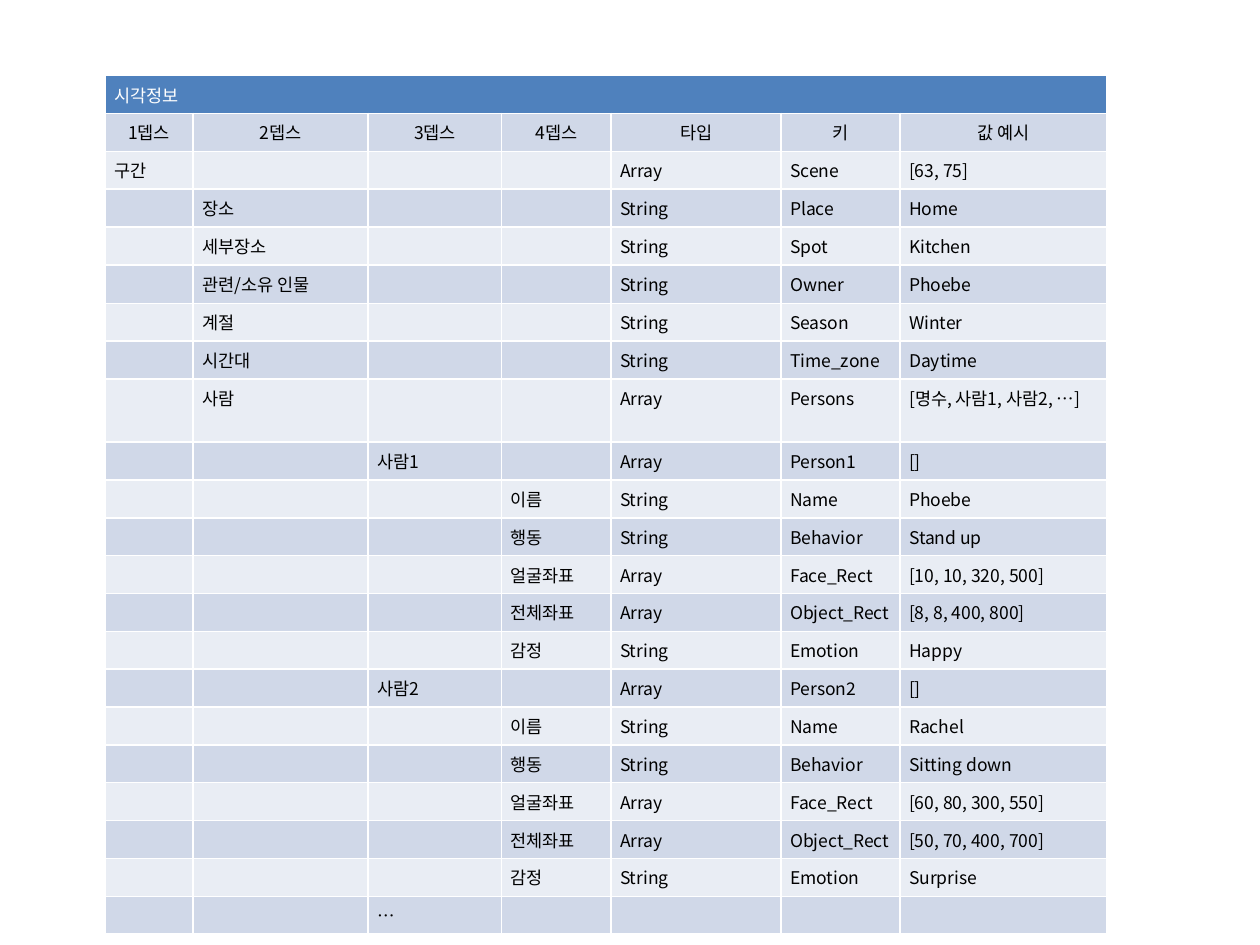
from dataclasses import dataclass
from typing import Any

import lxml.etree
import pptx
import pptx.dml.color
import pptx.enum.text
import pptx.oxml.ns
import pptx.util

Pt = pptx.util.Pt
Align = pptx.enum.text.PP_ALIGN


@dataclass(frozen=True)
class Theme:
    font: str = "Noto Sans CJK KR"
    size: float = 10
    head: str = "4F81BD"
    bands: tuple[str, str] = ("D0D8E8", "E9EDF4")
    light: str = "FFFFFF"
    dark: str = "000000"
    side: float = 5.2
    edge: float = 3.6


@dataclass(frozen=True)
class Field:
    depth: int
    label: str
    kind: str = ""
    key: str = ""
    value: str = ""
    high: float = 13.7

    def texts(self) -> list[str]:
        levels = [""] * 4
        levels[self.depth - 1] = self.label
        return [*levels, self.kind, self.key, self.value]


@dataclass(frozen=True)
class Person:
    rank: int
    name: str
    act: str
    face: str
    body: str
    mood: str
    high: float

    def fields(self) -> list[Field]:
        return [
            Field(3, f"사람{self.rank}", "Array", f"Person{self.rank}", "[]", self.high),
            Field(4, "이름", "String", "Name", self.name, self.high),
            Field(4, "행동", "String", "Behavior", self.act),
            Field(4, "얼굴좌표", "Array", "Face_Rect", self.face),
            Field(4, "전체좌표", "Array", "Object_Rect", self.body),
            Field(4, "감정", "String", "Emotion", self.mood),
        ]


THEME = Theme()
TITLE = "시각정보"
HEADS = ["1뎁스", "2뎁스", "3뎁스", "4뎁스", "타입", "키", "값 예시"]
WIDTHS = [50.4, 100, 76.3, 62.5, 97.2, 68, 118]
SCENE = [
    Field(1, "구간", "Array", "Scene", "[63, 75]"),
    Field(2, "장소", "String", "Place", "Home"),
    Field(2, "세부장소", "String", "Spot", "Kitchen"),
    Field(2, "관련/소유 인물", "String", "Owner", "Phoebe", 22),
    Field(2, "계절", "String", "Season", "Winter"),
    Field(2, "시간대", "String", "Time_zone", "Daytime"),
    Field(2, "사람", "Array", "Persons", "[명수, 사람1, 사람2, …]"),
]
PEOPLE = [
    Person(1, "Phoebe", "Stand up", "[10, 10, 320, 500]", "[8, 8, 400, 800]", "Happy", 20.2),
    Person(2, "Rachel", "Sitting down", "[60, 80, 300, 550]", "[50, 70, 400, 700]", "Surprise", 13.7),
]


def paint(cell: Any, text: str, fill: str, ink: str, align: Any = Align.LEFT) -> None:
    cell.fill.solid()
    cell.fill.fore_color.rgb = pptx.dml.color.RGBColor.from_string(fill)
    cell.margin_left = cell.margin_right = Pt(THEME.side)
    cell.margin_top = cell.margin_bottom = Pt(THEME.edge)
    cell.text = text
    para = cell.text_frame.paragraphs[0]
    para.alignment = align
    tag = pptx.oxml.ns.qn
    if not text:
        lxml.etree.SubElement(para._p, tag("a:endParaRPr"), sz=str(int(THEME.size * 100)))
    for font in [para.font, *(run.font for run in para.runs)]:
        font.name = THEME.font
        font.size = Pt(THEME.size)
        font.bold = False
        font.color.rgb = pptx.dml.color.RGBColor.from_string(ink)
        latin = font._element.find(tag("a:latin"))
        asian = lxml.etree.Element(tag("a:ea"), typeface=THEME.font)
        latin.addnext(asian)


def draw(slide: Any, fields: list[Field]) -> None:
    highs = [19.4, 13.7] + [field.high for field in fields]
    frame = slide.shapes.add_table(
        len(highs), len(WIDTHS), Pt(60), Pt(43.2), Pt(sum(WIDTHS)), Pt(sum(highs))
    )
    table = frame.table
    for column, width in zip(table.columns, WIDTHS):
        column.width = Pt(width)
    for row, high in zip(table.rows, highs):
        row.height = Pt(high)
    for col in range(len(WIDTHS)):
        paint(table.cell(0, col), "" if col else TITLE, THEME.head, THEME.light)
    table.cell(0, 0).merge(table.cell(0, len(WIDTHS) - 1))
    for row, texts in enumerate([HEADS, *(field.texts() for field in fields)]):
        align = Align.LEFT if row else Align.CENTER
        for col, text in enumerate(texts):
            paint(table.cell(row + 1, col), text, THEME.bands[row % 2], THEME.dark, align)


def main() -> None:
    deck = pptx.Presentation()
    deck.slide_width, deck.slide_height = Pt(720), Pt(540)
    slide = deck.slides.add_slide(deck.slide_layouts[6])
    crowd = [field for person in PEOPLE for field in person.fields()]
    draw(slide, [*SCENE, *crowd, Field(3, "…")])
    deck.save("out.pptx")


if __name__ == "__main__":
    main()
